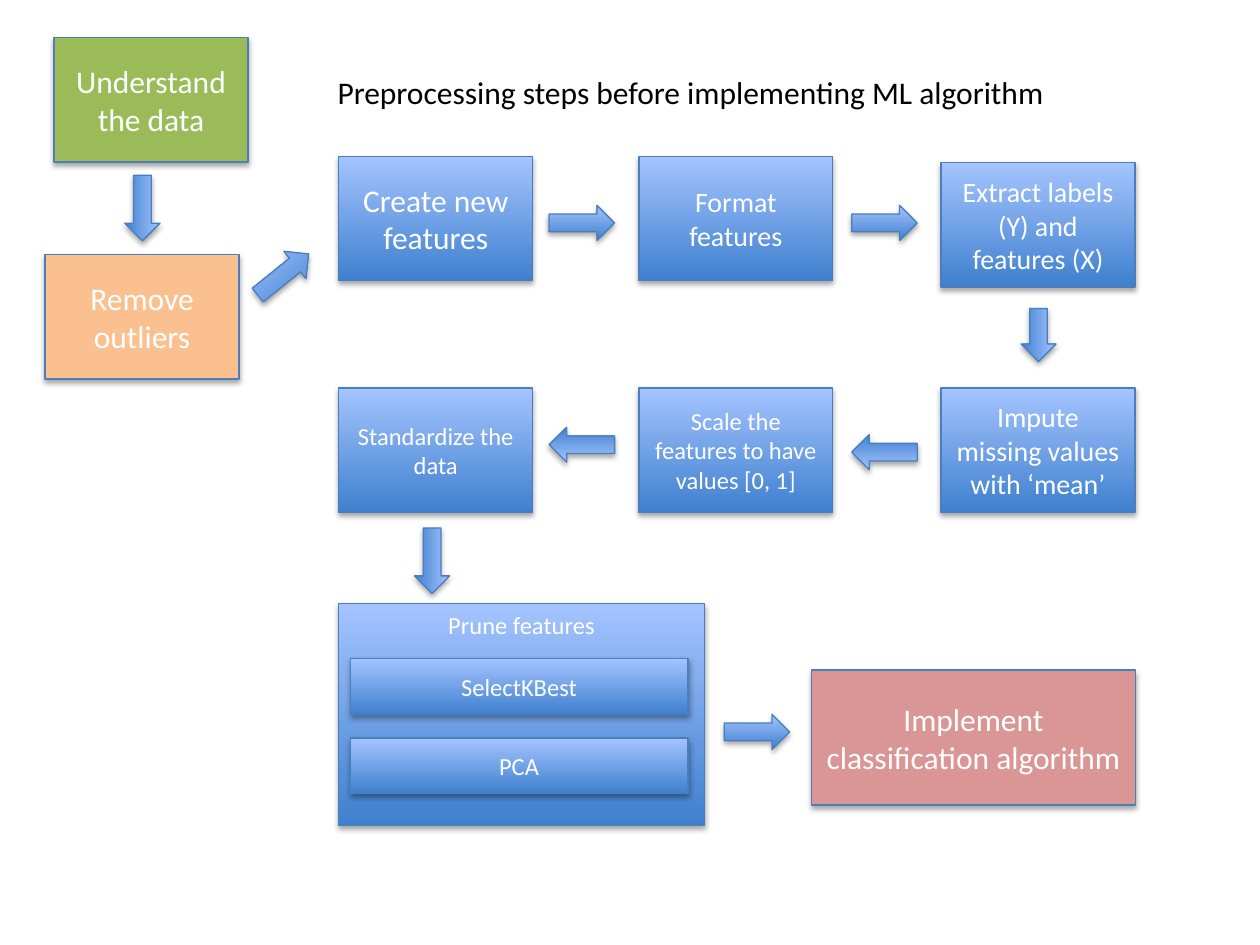
from dataclasses import dataclass

from pptx import Presentation
from pptx.dml.color import RGBColor
from pptx.enum.shapes import MSO_SHAPE as Preset
from pptx.enum.text import MSO_ANCHOR as Anchor, PP_ALIGN as Align
from pptx.shapes.autoshape import Shape
from pptx.slide import Slide
from pptx.util import Cm, Pt


@dataclass(frozen=True)
class Theme:
    font: str = "Calibri"
    large: int = 18
    medium: int = 16
    small: int = 14
    ink: str = "000000"
    paper: str = "FFFFFF"
    outline: str = "4B7EBC"
    gradient: tuple[str, str] = ("3F80CE", "A4C4FF")
    green: str = "9BBB59"
    orange: str = "FAC090"
    red: str = "D99694"


THEME = Theme()
STEP_WIDTH, STEP_HEIGHT = 3.91, 2.51
COLUMNS = (6.83, 12.88, 18.97)
ROWS = (3.15, 7.82)
GAPS = (11.07, 17.17)


@dataclass(frozen=True)
class Step:
    """A labelled box, in centimetres; without a fill it takes the gradient."""
    text: str
    left: float
    top: float
    size: int
    fill: str | None = None
    width: float = STEP_WIDTH
    height: float = STEP_HEIGHT
    anchor: Anchor = Anchor.MIDDLE


@dataclass(frozen=True)
class Arrow:
    """A block arrow, placed as it lies before rotation."""
    left: float
    top: float
    rotation: int = 0
    length: float = 1.32
    thickness: float = 0.71


STEPS = (
    # Data preparation
    Step("Understand the data", 1.09, 0.76, THEME.large, THEME.green),
    Step("Remove outliers", 0.91, 5.13, THEME.large, THEME.orange),
    # Feature building, left to right
    Step("Create new features", COLUMNS[0], ROWS[0], THEME.large),
    Step("Format features", COLUMNS[1], ROWS[0], THEME.medium),
    Step("Extract labels (Y) and features (X)", COLUMNS[2], 3.28, THEME.medium),
    # Feature cleaning, right to left
    Step("Impute missing values with ‘mean’", COLUMNS[2], ROWS[1], THEME.medium),
    Step("Scale the features to have values [0, 1]", COLUMNS[1], ROWS[1], THEME.small),
    Step("Standardize the data", COLUMNS[0], ROWS[1], THEME.small),
    # Pruning, with its two methods on top
    Step("Prune features", COLUMNS[0], 12.17, THEME.small,
         width=7.37, height=4.47, anchor=Anchor.TOP),
    Step("SelectKBest", 7.06, 13.28, THEME.small, width=6.81, height=1.12),
    Step("PCA", 7.06, 14.88, THEME.small, width=6.81, height=1.12),
    # Result
    Step("Implement classification algorithm", 16.36, 13.51, THEME.large,
         THEME.red, 6.53, 2.72),
)

ARROWS = (
    Arrow(2.21, 3.84, 90),
    Arrow(5.05, 5.18, 321),
    Arrow(GAPS[0], 4.14),
    Arrow(GAPS[1], 4.14),
    Arrow(20.4, 6.4, 90, length=1.07),
    Arrow(GAPS[1], 8.76, 180),
    Arrow(GAPS[0], 8.61, 180),
    Arrow(8.05, 10.95, 90),
    Arrow(14.6, 14.4),
)


def color(code: str) -> RGBColor:
    return RGBColor.from_string(code)


def paint(shape: Shape, fill: str | None = None) -> None:
    """Fill and outline a shape; its soft shadow comes from the deck's theme."""
    if fill:
        shape.fill.solid()
        shape.fill.fore_color.rgb = color(fill)
    else:
        shape.fill.gradient()
        shape.fill.gradient_angle = 90
        for stop, code in zip(shape.fill.gradient_stops, THEME.gradient):
            stop.color.rgb = color(code)
    shape.line.color.rgb = color(THEME.outline)
    shape.line.width = Pt(0.75)


def write(shape: Shape, text: str, size: int, ink: str, align: Align) -> None:
    shape.text_frame.text = text
    para = shape.text_frame.paragraphs[0]
    para.alignment = align
    para.font.name = THEME.font
    para.font.size = Pt(size)
    para.font.color.rgb = color(ink)


def add_title(page: Slide, text: str) -> None:
    title = page.shapes.title
    title.left, title.top = Cm(6.55), Cm(1.35)
    title.width, title.height = Cm(14.96), Cm(1.02)
    write(title, text, THEME.large, THEME.ink, Align.LEFT)
    title.text_frame.word_wrap = False
    title.text_frame.vertical_anchor = Anchor.TOP


def add_step(page: Slide, step: Step) -> None:
    box = page.shapes.add_shape(Preset.RECTANGLE, Cm(step.left), Cm(step.top),
                                Cm(step.width), Cm(step.height))
    paint(box, step.fill)
    write(box, step.text, step.size, THEME.paper, Align.CENTER)
    box.text_frame.word_wrap = True
    box.text_frame.vertical_anchor = step.anchor


def add_arrow(page: Slide, arrow: Arrow) -> None:
    shape = page.shapes.add_shape(Preset.RIGHT_ARROW, Cm(arrow.left), Cm(arrow.top),
                                  Cm(arrow.length), Cm(arrow.thickness))
    shape.rotation = arrow.rotation
    paint(shape)


def main() -> None:
    deck = Presentation()
    deck.slide_width, deck.slide_height = Cm(25.4), Cm(19.05)
    page = deck.slides.add_slide(deck.slide_layouts.get_by_name("Title Only"))
    add_title(page, "Preprocessing steps before implementing ML algorithm")
    for step in STEPS:
        add_step(page, step)
    for arrow in ARROWS:
        add_arrow(page, arrow)
    deck.save("out.pptx")


main()
